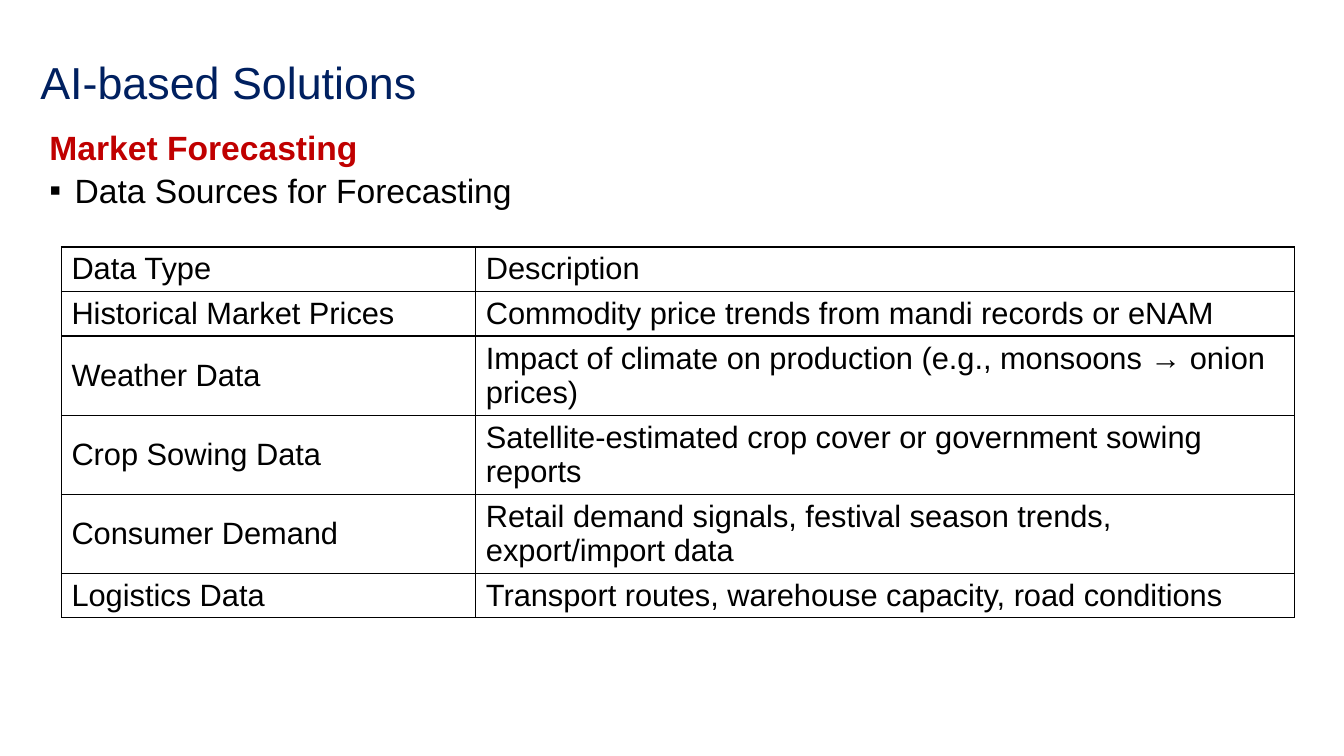
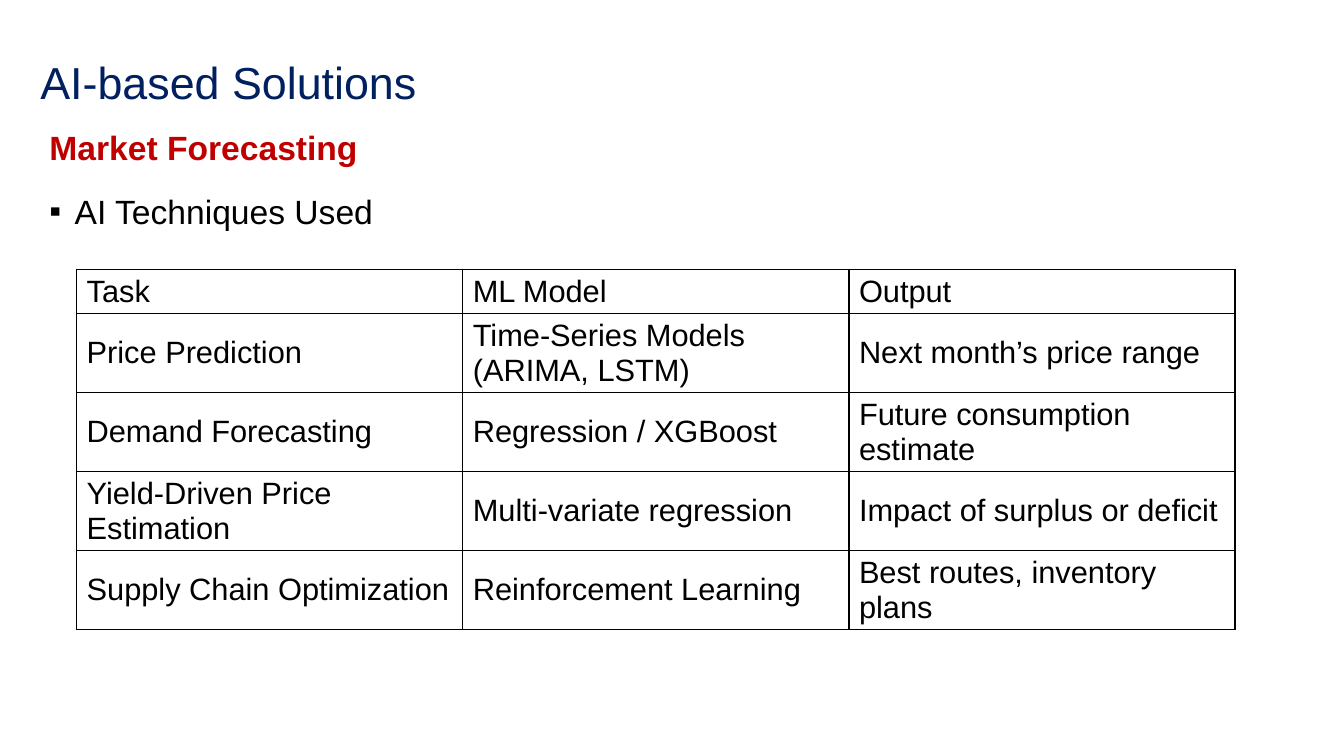
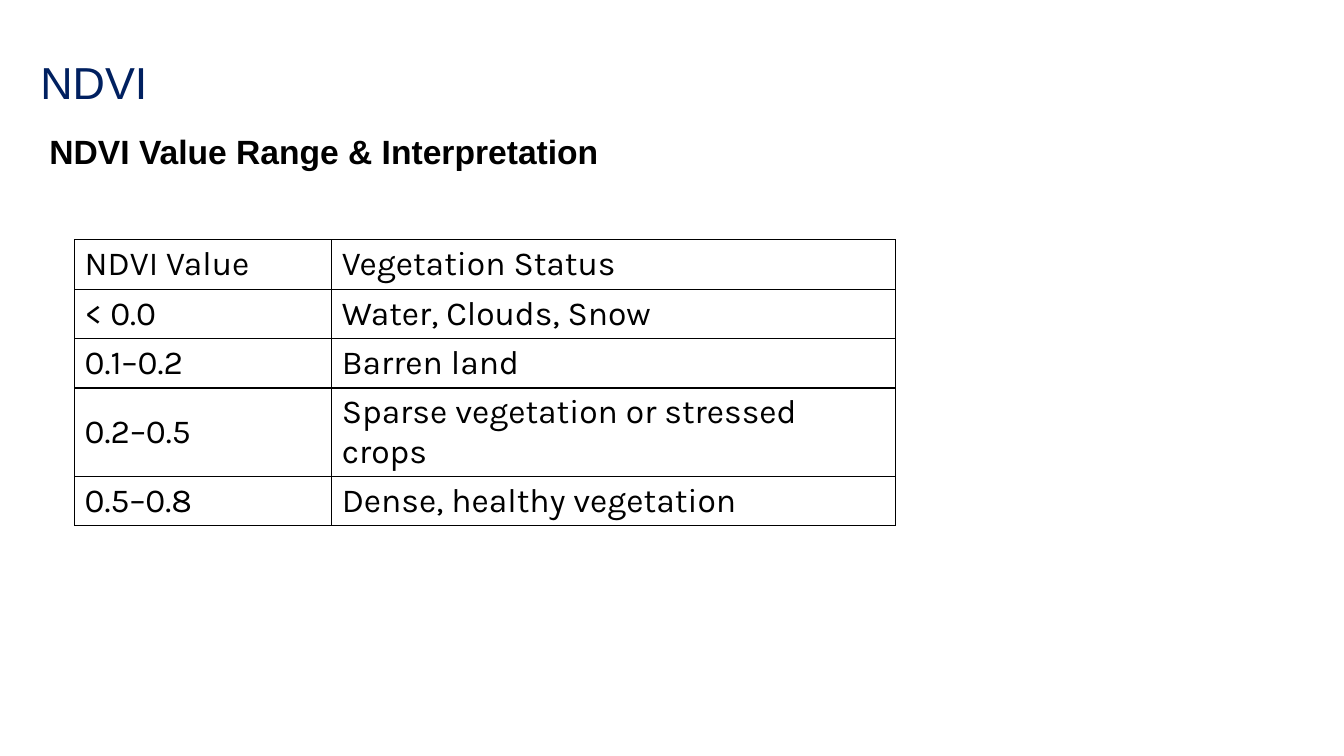
from dataclasses import dataclass

from lxml import etree
from pptx import Presentation
from pptx.dml.color import RGBColor
from pptx.enum.text import MSO_ANCHOR, MSO_AUTO_SIZE, PP_ALIGN
from pptx.oxml.ns import qn
from pptx.util import Inches, Pt

LEFT = PP_ALIGN.LEFT
MIDDLE, TOP = MSO_ANCHOR.MIDDLE, MSO_ANCHOR.TOP
NO_AUTOFIT = MSO_AUTO_SIZE.NONE


@dataclass(frozen=True)
class Theme:
    navy: str = "002060"
    red: str = "C00000"
    black: str = "000000"
    font: str = "Arial"
    table_font: str = "Karla"
    title_size: int = 32
    body_size: int = 24
    cell_size: int = 22
    border: int = 1
    title_box: tuple = (0.3, 0.19, 12.68, 0.98)
    body_box: tuple = (0.39, 1.25, 12.44, 5.65)


THEME = Theme()

DATA_SOURCES = [
    ("Data Type", "Description"),
    ("Historical Market Prices", "Commodity price trends from mandi records or eNAM"),
    ("Weather Data", "Impact of climate on production (e.g., monsoons → onion prices)"),
    ("Crop Sowing Data", "Satellite-estimated crop cover or government sowing reports"),
    ("Consumer Demand", "Retail demand signals, festival season trends, export/import data"),
    ("Logistics Data", "Transport routes, warehouse capacity, road conditions"),
]
TECHNIQUES = [
    ("Task", "ML Model", "Output"),
    ("Price Prediction", "Time-Series Models (ARIMA, LSTM)", "Next month’s price range"),
    ("Demand Forecasting", "Regression / XGBoost", "Future consumption estimate"),
    ("Yield-Driven Price Estimation", "Multi-variate regression", "Impact of surplus or deficit"),
    ("Supply Chain Optimization", "Reinforcement Learning", "Best routes, inventory plans"),
]
NDVI_RANGES = [
    ("NDVI Value", "Vegetation Status"),
    ("< 0.0", "Water, Clouds, Snow"),
    ("0.1–0.2", "Barren land"),
    ("0.2–0.5", "Sparse vegetation or stressed crops"),
    ("0.5–0.8", "Dense, healthy vegetation"),
]


def set_all(target, **values):
    for name, value in values.items():
        setattr(target, name, value)


def write(p, text, size, color, font=THEME.font, bold=False):
    r = p.add_run()
    r.text = text
    set_all(r.font, size=Pt(size), name=font, bold=bold)
    r.font.color.rgb = RGBColor.from_string(color)


def place(sp, box):
    for name, value in zip(("left", "top", "width", "height"), box):
        setattr(sp, name, Inches(value))


def set_bullet(p, char=None):
    """Give the paragraph a hanging bullet, or none at all."""
    pPr = p._p.get_or_add_pPr()
    indent = Inches(0.25) if char else 0
    pPr.set("marL", str(indent))
    pPr.set("indent", str(-indent))
    if char:
        etree.SubElement(pPr, qn("a:buFont"), typeface=THEME.font)
        etree.SubElement(pPr, qn("a:buChar"), char=char)
    else:
        etree.SubElement(pPr, qn("a:buNone"))


def prepare_layout(layout):
    """Set the title and body frames that all slides inherit."""
    frames = ((0, THEME.title_box, MIDDLE), (1, THEME.body_box, TOP))
    for index, box, anchor in frames:
        sp = layout.placeholders[index]
        place(sp, box)
        set_all(sp.text_frame, vertical_anchor=anchor, auto_size=NO_AUTOFIT)


def add_slide(prs, layout, title, heading, color, spacing=1.0, bullet=None, gap=0):
    slide = prs.slides.add_slide(layout)
    p = slide.shapes.title.text_frame.paragraphs[0]
    set_all(p, alignment=LEFT, line_spacing=1.5)
    write(p, title, THEME.title_size, THEME.navy)

    tf = slide.placeholders[1].text_frame
    p = tf.paragraphs[0]
    set_all(p, line_spacing=spacing, space_before=Pt(0))
    set_bullet(p)
    write(p, heading, THEME.body_size, color, bold=True)
    if bullet:
        p = tf.add_paragraph()
        set_all(p, line_spacing=1.0, space_before=Pt(gap))
        set_bullet(p, "▪")
        write(p, bullet, THEME.body_size, THEME.black)
    return slide


def style_cell(cell):
    cell.vertical_anchor = MIDDLE
    cell.fill.background()
    tcPr = cell._tc.get_or_add_tcPr()
    for i, side in enumerate(("lnL", "lnR", "lnT", "lnB")):
        ln = etree.Element(qn(f"a:{side}"), w=str(Pt(THEME.border)))
        fill = etree.SubElement(ln, qn("a:solidFill"))
        etree.SubElement(fill, qn("a:srgbClr"), val=THEME.black)
        tcPr.insert(i, ln)


def add_grid(slide, rows, left, top, widths, tall_rows, heights=(0.44, 0.78),
             size=THEME.cell_size, font=THEME.font):
    """Add a ruled table; heights are those of one-line and two-line rows."""
    row_heights = [heights[i in tall_rows] for i in range(len(rows))]
    frame = slide.shapes.add_table(
        len(rows), len(widths), Inches(left), Inches(top),
        Inches(sum(widths)), Inches(sum(row_heights)))
    table = frame.table
    set_all(table, first_row=False, horz_banding=False)
    for column, width in zip(table.columns, widths):
        column.width = Inches(width)
    for row, height, texts in zip(table.rows, row_heights, rows):
        row.height = Inches(height)
        for cell, text in zip(row.cells, texts):
            style_cell(cell)
            write(cell.text_frame.paragraphs[0], text, size, THEME.black, font)


def main():
    prs = Presentation()
    set_all(prs, slide_width=Inches(13.33), slide_height=Inches(7.5))
    layout = prs.slide_layouts[1]
    prepare_layout(layout)

    forecasting = ("AI-based Solutions", "Market Forecasting", THEME.red, 0.9)
    slide = add_slide(prs, layout, *forecasting, "Data Sources for Forecasting", gap=2)
    add_grid(slide, DATA_SOURCES, 0.61, 2.45, (4.11, 8.12), tall_rows=(2, 3, 4))

    slide = add_slide(prs, layout, *forecasting, "AI Techniques Used", gap=17)
    add_grid(slide, TECHNIQUES, 0.76, 2.67, (3.83,) * 3, tall_rows=(1, 2, 3, 4))

    slide = add_slide(prs, layout, "NDVI", "NDVI Value Range & Interpretation", THEME.black)
    add_grid(slide, NDVI_RANGES, 0.74, 2.38, (2.55, 5.59), tall_rows=(3,),
             heights=(0.49, 0.87), size=THEME.body_size, font=THEME.table_font)

    prs.save("out.pptx")


if __name__ == "__main__":
    main()
